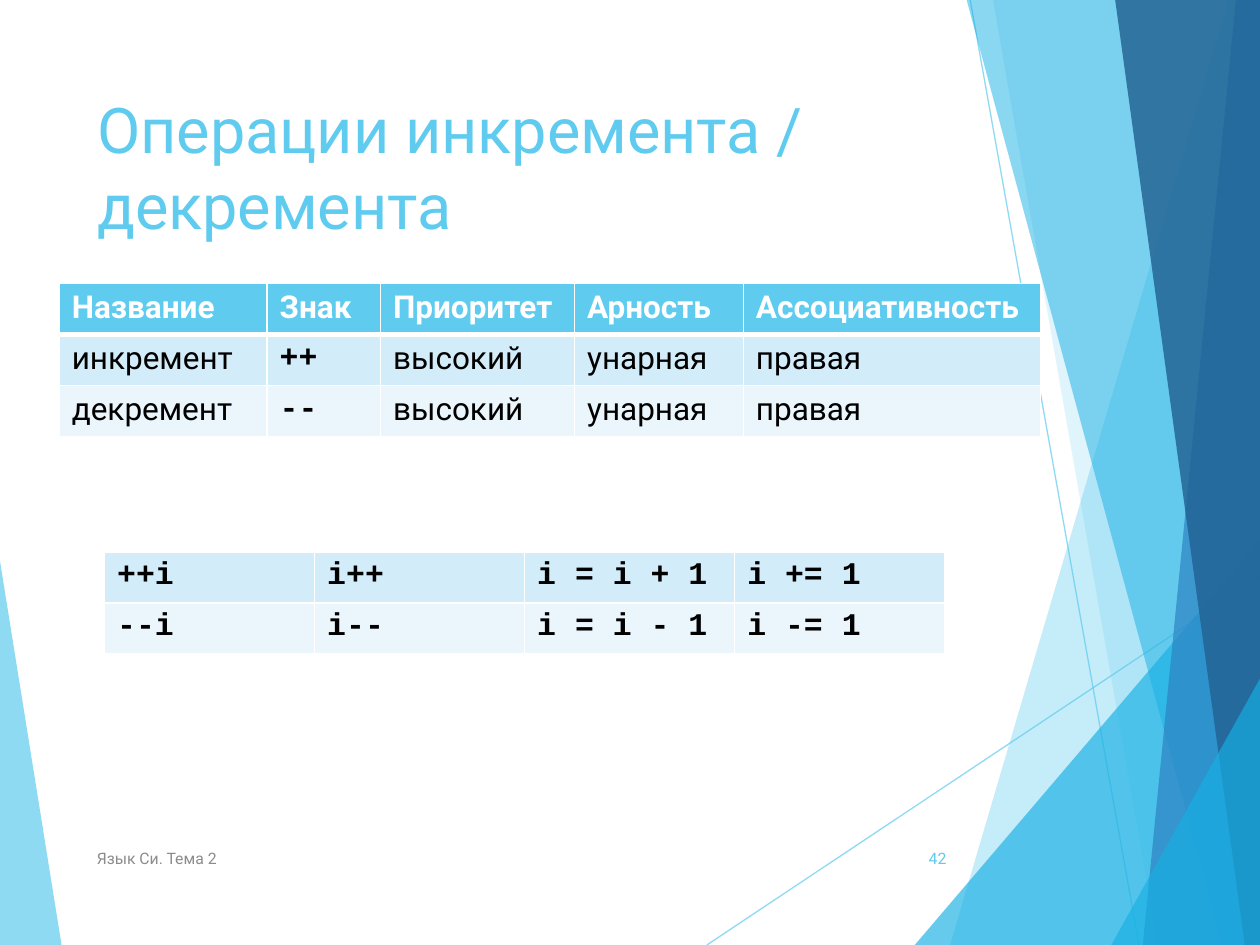
"""Build the slide on increment and decrement operations in C."""
from dataclasses import dataclass

import lxml.etree
import pptx
import pptx.dml.color
import pptx.enum.shapes
import pptx.enum.text
import pptx.oxml.ns
import pptx.util

WIDTH = pptx.util.Inches(10)
HEIGHT = pptx.util.Inches(7.5)
SKY, CYAN, BLUE, NAVY = "5FCBEF", "17B0E4", "2E83C3", "226292"
WHITE, BLACK, GRAY = "FFFFFF", "000000", "8C8C8C"
BANDS = ("D2ECF9", "EAF6FC")
SANS, MONO = "Roboto", "Courier New"
ROW_HEIGHT = 5.4
LEFT = pptx.enum.text.PP_ALIGN.LEFT
RIGHT = pptx.enum.text.PP_ALIGN.RIGHT
TOP = pptx.enum.text.MSO_ANCHOR.TOP
MIDDLE = pptx.enum.text.MSO_ANCHOR.MIDDLE


@dataclass(frozen=True)
class Facet:
    """A translucent polygon with corners in percent of the slide."""
    color: str
    opacity: int
    corners: tuple[tuple[float, float], ...]


@dataclass(frozen=True)
class Ray:
    """A thin line with ends in percent of the slide."""
    start: tuple[float, float]
    end: tuple[float, float]


@dataclass(frozen=True)
class Label:
    """A line of text with its box in percent of the slide."""
    text: str
    box: tuple[float, float, float, float]
    size: float
    color: str
    alignment: pptx.enum.text.PP_ALIGN
    anchor: pptx.enum.text.MSO_ANCHOR


@dataclass(frozen=True)
class Grid:
    """A table with position and column widths in percent of the slide."""
    left: float
    top: float
    columns: tuple[float, ...]
    rows: tuple[tuple[str, ...], ...]
    code_columns: tuple[int, ...]
    has_header: bool


BACKDROP = (
    Facet(SKY, 70, ((-0.1, 58.53), (4.9, 100.1), (-0.1, 100))),
    Ray((56.1, 100), (100.1, 60.93)),
    Ray((77, 0), (90.4, 100)),
    Facet(SKY, 36, ((97.5, 0), (75.4, 100), (100.2, 100.1), (100.1, 0))),
    Facet(SKY, 20, ((78.8, -0.1), (91.9, 100), (100.1, 100), (100.1, -0.1))),
    Facet(CYAN, 66, ((72.6, 100), (100, 57.2), (100.1, 100))),
    Facet(CYAN, 50, ((76.7, -0.1), (97, 100), (100.1, 100), (100.1, -0.1))),
    Facet(BLUE, 70, ((98.1, -0.1), (90.7, 100), (100.1, 100), (100, -0.1))),
    Facet(NAVY, 82, ((88.5, -0.1), (98.8, 100), (100.2, 100), (100, -0.1))),
    Facet(CYAN, 66, ((88.2, 100), (100.2, 71.33), (100.2, 100))),
)
TITLE = Label("Операции инкремента / декремента", (6.7, 8.93, 69.4, 19.2),
              36, SKY, LEFT, TOP)
FOOTERS = (
    Label("Язык Си. Тема 2", (6.7, 88.13, 50.6, 5.33), 9, GRAY, LEFT, MIDDLE),
    Label("42", (70.5, 88.13, 5.6, 5.33), 9, SKY, RIGHT, MIDDLE),
)
GRIDS = (
    Grid(4.7, 30, (16.5, 9, 15.4, 13.4, 23.6), (
        ("Название", "Знак", "Приоритет", "Арность", "Ассоциативность"),
        ("инкремент", "++", "высокий", "унарная", "правая"),
        ("декремент", "--", "высокий", "унарная", "правая"),
    ), (1,), True),
    Grid(8.3, 58.4, (16.67,) * 4, (
        ("++i", "i++", "i = i + 1", "i += 1"),
        ("--i", "i--", "i = i - 1", "i -= 1"),
    ), (0, 1, 2, 3), False),
)


def across(percent: float) -> int:
    """Turn a percentage of the slide width into a length."""
    return round(WIDTH * percent / 100)


def down(percent: float) -> int:
    """Turn a percentage of the slide height into a length."""
    return round(HEIGHT * percent / 100)


def rgb(color: str) -> pptx.dml.color.RGBColor:
    """Turn a hex string into a colour."""
    return pptx.dml.color.RGBColor.from_string(color)


def add_element(parent, tag: str, **attributes: str):
    """Append a drawing element to its parent."""
    return lxml.etree.SubElement(parent, pptx.oxml.ns.qn(tag), attributes)


def set_opacity(shape, percent: int) -> None:
    """Make the colours of a shape translucent."""
    for color in shape._element.spPr.findall(".//" + pptx.oxml.ns.qn("a:srgbClr")):
        add_element(color, "a:alpha", val=str(percent * 1000))


def draw_facet(slide, facet: Facet) -> None:
    """Draw one translucent polygon."""
    points = [(across(x), down(y)) for x, y in facet.corners]
    builder = slide.shapes.build_freeform(*points[0])
    builder.add_line_segments(points[1:], close=True)
    shape = builder.convert_to_shape()
    shape.shadow.inherit = False
    shape.fill.solid()
    shape.fill.fore_color.rgb = rgb(facet.color)
    shape.line.fill.background()
    set_opacity(shape, facet.opacity)


def draw_ray(slide, ray: Ray) -> None:
    """Draw one thin line."""
    connector = slide.shapes.add_connector(
        pptx.enum.shapes.MSO_CONNECTOR.STRAIGHT,
        across(ray.start[0]), down(ray.start[1]), across(ray.end[0]), down(ray.end[1]))
    connector.line.color.rgb = rgb(SKY)
    connector.line.width = pptx.util.Pt(0.75)
    set_opacity(connector, 70)
    add_element(connector._element.spPr, "a:effectLst")


def format_runs(paragraph, font_name: str, size: float, color: str, bold: bool) -> None:
    """Format every run of a paragraph."""
    for run in paragraph.runs:
        run.font.name = font_name
        run.font.size = pptx.util.Pt(size)
        run.font.color.rgb = rgb(color)
        run.font.bold = bold


def fill_label(shape, label: Label) -> None:
    """Place a text shape and write its label."""
    left, top, width, height = label.box
    shape.left, shape.top = across(left), down(top)
    shape.width, shape.height = across(width), down(height)
    frame = shape.text_frame
    frame.text = label.text
    frame.word_wrap = True
    frame.auto_size = pptx.enum.text.MSO_AUTO_SIZE.NONE
    frame.vertical_anchor = label.anchor
    paragraph = frame.paragraphs[0]
    paragraph.alignment = label.alignment
    format_runs(paragraph, SANS, label.size, label.color, False)


def set_borders(cell, top: float, bottom: float) -> None:
    """Give a cell white borders, with side borders of one point."""
    properties = cell._tc.get_or_add_tcPr()
    for tag, points in (("a:lnL", 1), ("a:lnR", 1), ("a:lnT", top), ("a:lnB", bottom)):
        border = add_element(properties, tag, w=str(pptx.util.Pt(points)))
        add_element(add_element(border, "a:solidFill"), "a:srgbClr", val=WHITE)


def draw_grid(slide, grid: Grid) -> None:
    """Draw one table."""
    table = slide.shapes.add_table(
        len(grid.rows), len(grid.columns), across(grid.left), down(grid.top),
        across(sum(grid.columns)), down(ROW_HEIGHT * len(grid.rows))).table
    table.first_row = table.horz_banding = False
    for column, width in zip(table.columns, grid.columns):
        column.width = across(width)
    for row_index, texts in enumerate(grid.rows):
        table.rows[row_index].height = down(ROW_HEIGHT)
        header = grid.has_header and row_index == 0
        band = BANDS[(row_index - grid.has_header) % 2]
        below_header = grid.has_header and row_index == 1
        for column_index, text in enumerate(texts):
            cell = table.cell(row_index, column_index)
            code = column_index in grid.code_columns and not header
            cell.text_frame.text = text
            format_runs(cell.text_frame.paragraphs[0], MONO if code else SANS, 18,
                        WHITE if header else BLACK, header or code)
            set_borders(cell, 3 if below_header else 1, 3 if header else 1)
            cell.fill.solid()
            cell.fill.fore_color.rgb = rgb(SKY if header else band)


def main() -> None:
    """Build and save the presentation."""
    presentation = pptx.Presentation()
    presentation.slide_width, presentation.slide_height = WIDTH, HEIGHT
    slide = presentation.slides.add_slide(presentation.slide_layouts[5])
    for item in BACKDROP:
        if isinstance(item, Facet):
            draw_facet(slide, item)
        else:
            draw_ray(slide, item)
    fill_label(slide.shapes.title, TITLE)
    for label in FOOTERS:
        fill_label(slide.shapes.add_textbox(0, 0, 0, 0), label)
    for grid in GRIDS:
        draw_grid(slide, grid)
    presentation.save("out.pptx")


if __name__ == "__main__":
    main()
